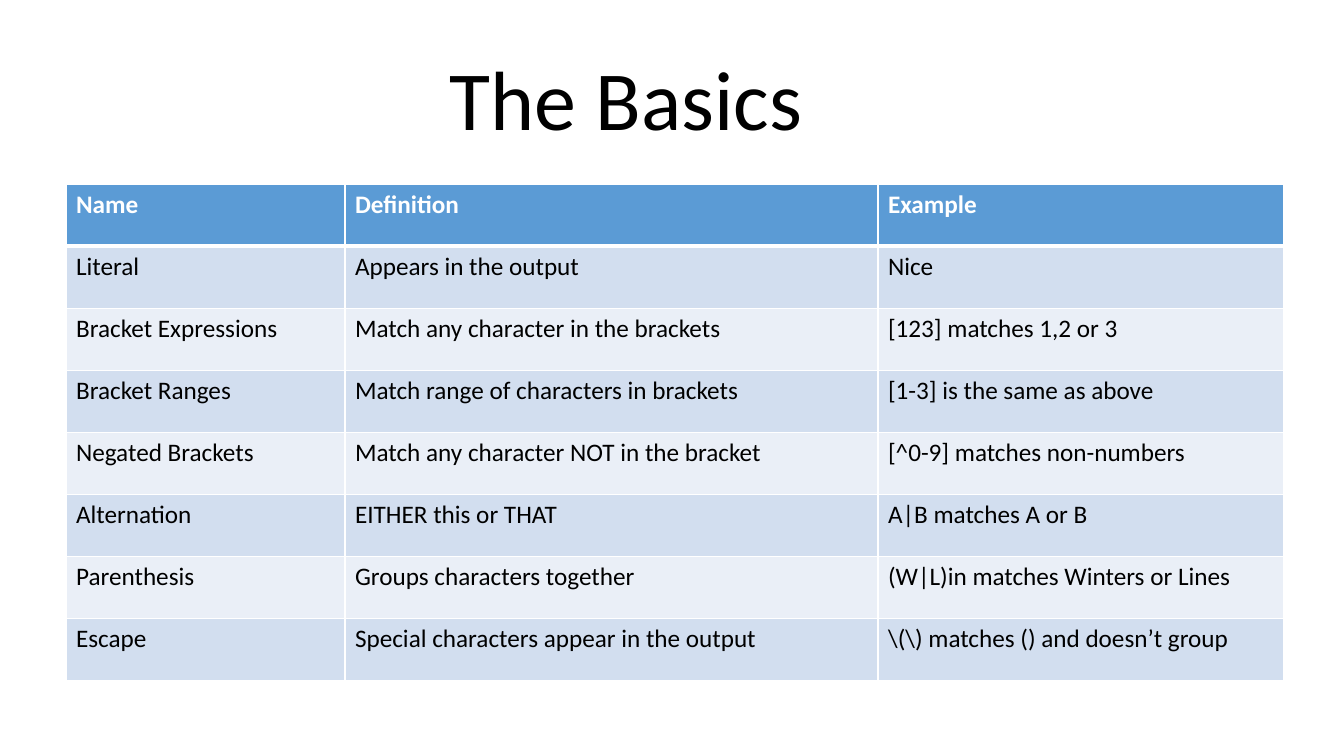
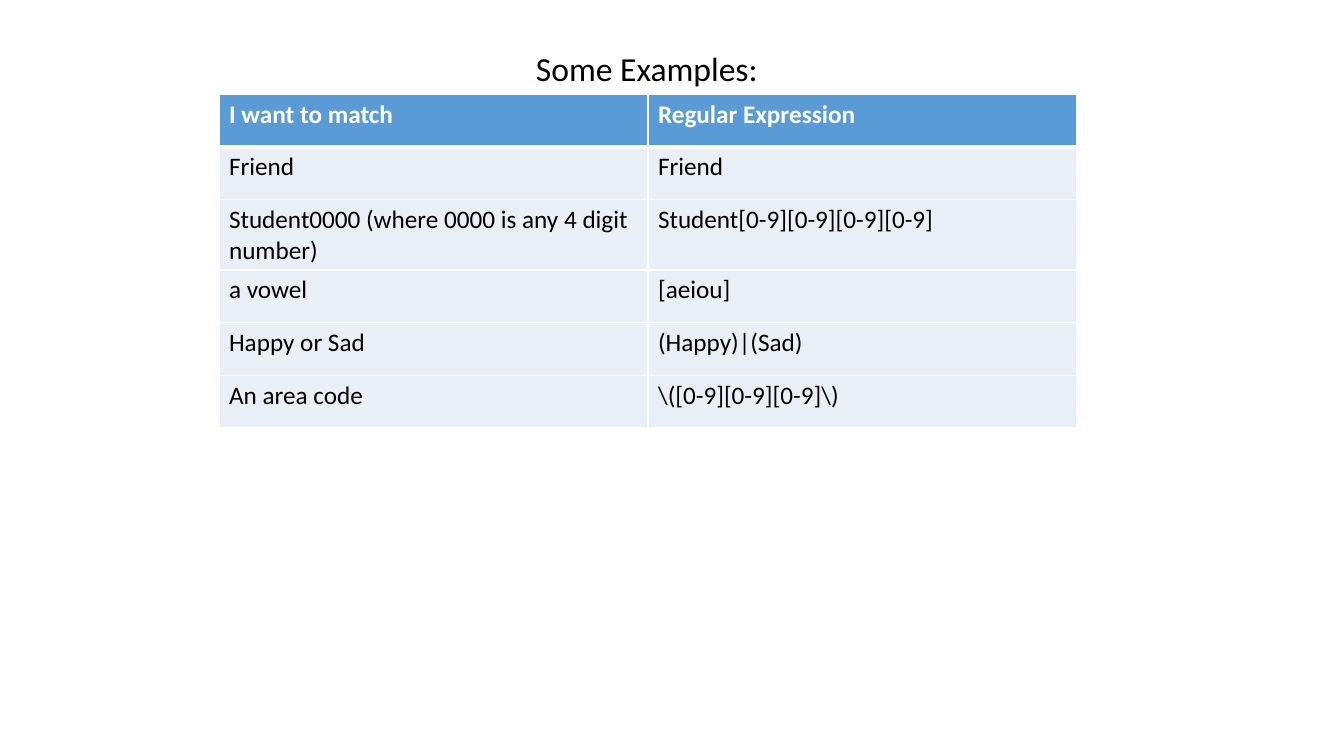
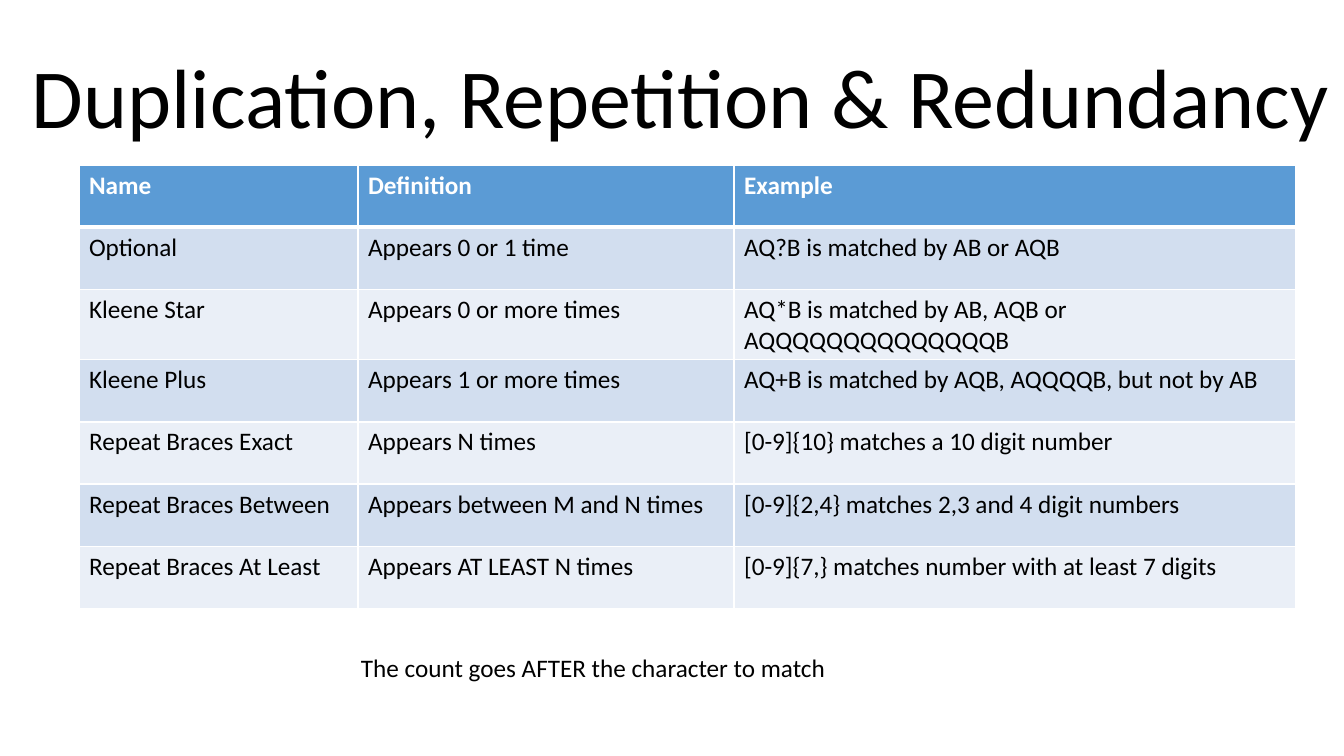
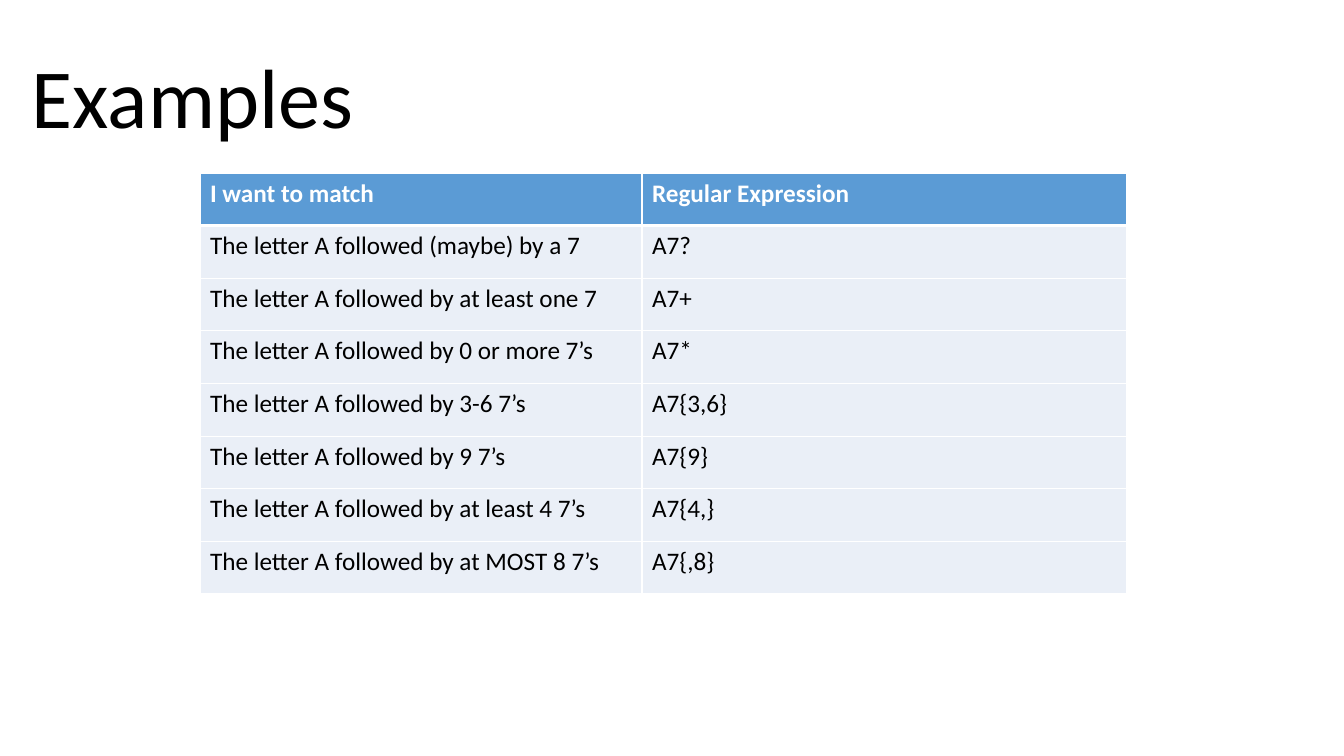
"""Build four slides of regular expression tables."""
import dataclasses

import lxml.etree
import pptx
import pptx.dml.color
import pptx.enum.text
import pptx.oxml.ns
import pptx.slide
import pptx.table
import pptx.text.text
import pptx.util

SCALE = 914400 / 100.8
FONT = "Calibri"
WHITE, BLACK, BLUE = "FFFFFF", "000000", "5B9BD5"
PALE, DEEP = "EAEFF7", "D2DEEF"
BANDS, PLAIN = (DEEP, PALE), (PALE,)
TERMS = ("Name", "Definition", "Example")
TASKS = ("I want to match", "Regular Expression")


@dataclasses.dataclass(frozen=True)
class Label:
    text: str
    left: int
    top: int
    width: int
    height: int
    size: int = 60


@dataclasses.dataclass(frozen=True)
class Grid:
    left: int
    top: int
    cols: tuple[int, ...]
    rows: int
    height: int
    fills: tuple[str, ...]
    lines: tuple[tuple[str, ...], ...]


@dataclasses.dataclass(frozen=True)
class Page:
    labels: tuple[Label, ...]
    grid: Grid


PAGES = (
    Page(
        (Label("The Basics", 440, 42, 376, 112),),
        Grid(66, 184, (279, 533, 406), 497, 497, BANDS, (
            TERMS,
            ("Literal", "Appears in the output", "Nice"),
            ("Bracket Expressions", "Match any character in the brackets", "[123] matches 1,2 or 3"),
            ("Bracket Ranges", "Match range of characters in brackets", "[1-3] is the same as above"),
            ("Negated Brackets", "Match any character NOT in the bracket", "[^0-9] matches non-numbers"),
            ("Alternation", "EITHER this or THAT", "A|B matches A or B"),
            ("Parenthesis", "Groups characters together", "(W|L)in matches Winters or Lines"),
            ("Escape", "Special characters appear in the output", "\\(\\) matches () and doesn’t group"),
        )),
    ),
    Page(
        (Label("Some Examples:", 526, 43, 244, 50, 24),),
        Grid(219, 94, (429, 429), 316, 334, PLAIN, (
            TASKS,
            ("Friend", "Friend"),
            ("Student0000 (where 0000 is any 4 digit number)", "Student[0-9][0-9][0-9][0-9]"),
            ("a vowel", "[aeiou]"),
            ("Happy or Sad", "(Happy)|(Sad)"),
            ("An area code", "\\([0-9][0-9][0-9]\\)"),
        )),
    ),
    Page(
        (
            Label("Duplication, Repetition & Redundancy", 22, 40, 1332, 112),
            Label("The count goes AFTER the character to match", 351, 647, 490, 40, 18),
        ),
        Grid(79, 165, (279, 376, 562), 435, 452, BANDS, (
            TERMS,
            ("Optional", "Appears 0 or 1 time", "AQ?B is matched by AB or AQB"),
            ("Kleene Star", "Appears 0 or more times", "AQ*B is matched by AB, AQB or AQQQQQQQQQQQQQQB"),
            ("Kleene Plus", "Appears 1 or more times", "AQ+B is matched by AQB, AQQQQB, but not by AB"),
            ("Repeat Braces Exact", "Appears N times", "[0-9]{10} matches a 10 digit number"),
            ("Repeat Braces Between", "Appears between M and N times", "[0-9]{2,4} matches 2,3 and 4 digit numbers"),
            ("Repeat Braces At Least", "Appears AT LEAST N times", "[0-9]{7,} matches number with at least 7 digits"),
        )),
    ),
    Page(
        (Label("Examples", 22, 40, 345, 112),),
        Grid(200, 173, (442, 485), 421, 421, PLAIN, (
            TASKS,
            ("The letter A followed (maybe) by a 7", "A7?"),
            ("The letter A followed by at least one 7", "A7+"),
            ("The letter A followed by 0 or more 7’s", "A7*"),
            ("The letter A followed by 3-6 7’s", "A7{3,6}"),
            ("The letter A followed by 9 7’s", "A7{9}"),
            ("The letter A followed by at least 4 7’s", "A7{4,}"),
            ("The letter A followed by at MOST 8 7’s", "A7{,8}"),
        )),
    ),
)


def emu(pixels: float) -> int:
    return round(pixels * SCALE)


def hue(code: str) -> pptx.dml.color.RGBColor:
    return pptx.dml.color.RGBColor.from_string(code)


def apply(target: object, values: dict[str, object]) -> None:
    for name, value in values.items():
        setattr(target, name, value)


def write(frame: pptx.text.text.TextFrame, text: str, size: int, code: str, bold: bool = False) -> None:
    run = frame.paragraphs[0].add_run()
    run.text = text
    apply(run.font, {"name": FONT, "size": pptx.util.Pt(size), "bold": bold})
    run.font.color.rgb = hue(code)


def edge(cell: pptx.table._Cell, row: int) -> None:
    props = cell._tc.get_or_add_tcPr()
    points = {"lnL": 1, "lnR": 1, "lnT": 3 if row == 1 else 1, "lnB": 3 if row == 0 else 1}
    for side, width in points.items():
        line = lxml.etree.SubElement(props, pptx.oxml.ns.qn(f"a:{side}"), w=str(pptx.util.Pt(width)))
        fill = lxml.etree.SubElement(line, pptx.oxml.ns.qn("a:solidFill"))
        lxml.etree.SubElement(fill, pptx.oxml.ns.qn("a:srgbClr"), val=WHITE)


def add_label(slide: pptx.slide.Slide, label: Label) -> None:
    box = slide.shapes.add_textbox(*map(emu, (label.left, label.top, label.width, label.height)))
    apply(box.text_frame, {"word_wrap": False, "auto_size": pptx.enum.text.MSO_AUTO_SIZE.SHAPE_TO_FIT_TEXT})
    write(box.text_frame, label.text, label.size, BLACK)


def add_grid(slide: pptx.slide.Slide, grid: Grid) -> None:
    count = len(grid.lines)
    place = map(emu, (grid.left, grid.top, sum(grid.cols), grid.rows))
    frame = slide.shapes.add_table(count, len(grid.cols), *place)
    table = frame.table
    table.horz_banding = len(grid.fills) > 1
    for column, width in zip(table.columns, grid.cols):
        column.width = emu(width)
    for row, line in enumerate(grid.lines):
        table.rows[row].height = emu(grid.rows / count)
        head = row == 0
        shade = BLUE if head else grid.fills[(row - 1) % len(grid.fills)]
        for col, text in enumerate(line):
            cell = table.cell(row, col)
            edge(cell, row)
            cell.fill.solid()
            cell.fill.fore_color.rgb = hue(shade)
            write(cell.text_frame, text, 18, WHITE if head else BLACK, head)
    frame.height = emu(grid.height)


def build() -> None:
    deck = pptx.Presentation()
    apply(deck, {"slide_width": emu(1344), "slide_height": emu(756)})
    for page in PAGES:
        slide = deck.slides.add_slide(deck.slide_layouts[6])
        add_grid(slide, page.grid)
        for label in page.labels:
            add_label(slide, label)
    deck.save("out.pptx")


build()
